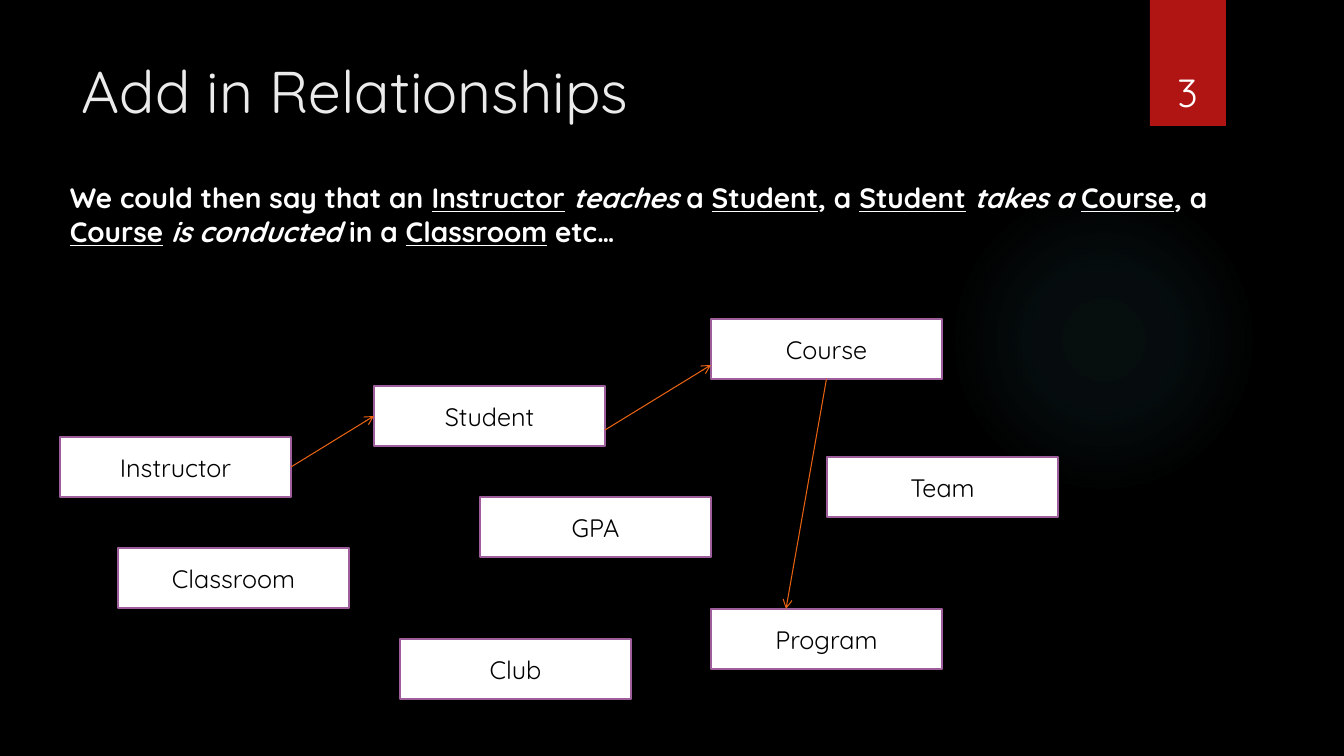
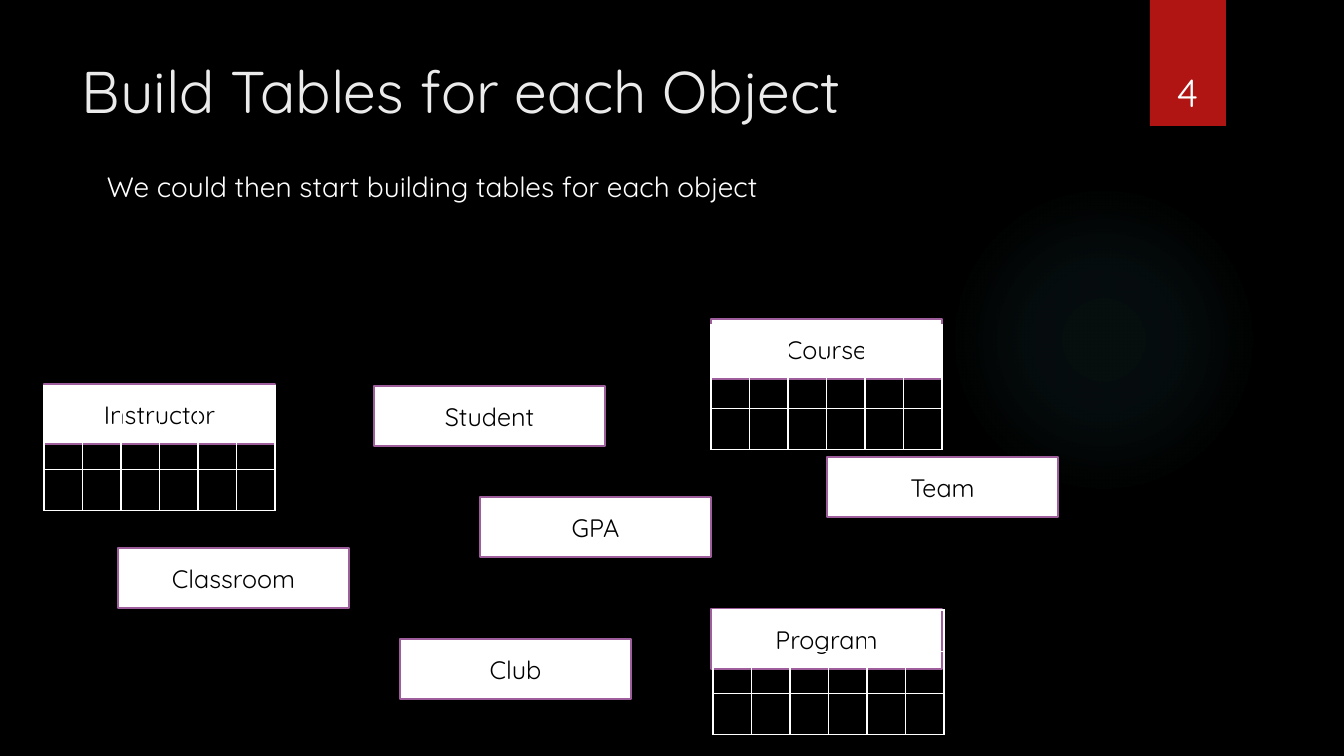
import pptx
import pptx.util
import pptx.dml.color
import pptx.enum.shapes
import pptx.enum.text
import pptx.oxml
import pptx.oxml.ns

PX = 914400 / 100.8
FONT = "Quicksand"
BLACK, WHITE = "000000", "FFFFFF"
TITLE_GRAY, RIBBON_RED, GLOW_TEAL = "EBEBEB", "B01513", "50B9C1"
BORDER_PURPLE, ARROW_ORANGE = "9E5E9B", "EA6312"
GLOW_STOPS = [(0, 7), (36, 6), (69, 0)]
ENTITY_WIDTH, ENTITY_HEIGHT = 231, 60
TABLE_ROWS, TABLE_COLUMNS, TABLE_HEIGHT = 3, 6, 125
ENTITIES = {
    "Instructor": (60, 437),
    "Student": (374, 386),
    "Course": (711, 319),
    "Classroom": (118, 548),
    "Club": (400, 639),
    "Program": (711, 609),
    "Team": (827, 457),
    "GPA": (480, 497),
}
TABLE_CORNERS = [(44, 386), (711, 325), (713, 610)]
RELATIONSHIP_TEXT = [
    ("We could then say that an ", ""), ("Instructor", "u"), (" ", ""), ("teaches", "i"),
    (" a ", ""), ("Student", "u"), (", a ", ""), ("Student", "u"), (" ", ""),
    ("takes a ", "i"), ("Course", "u"), (", a ", ""), ("Course", "u"), (" ", ""),
    ("is conducted ", "i"), ("in a ", ""), ("Classroom", "u"), (" etc…", ""),
]
SHAPE = pptx.enum.shapes.MSO_SHAPE
ANCHOR = pptx.enum.text.MSO_ANCHOR
ALIGN = pptx.enum.text.PP_ALIGN
qn = pptx.oxml.ns.qn


def px(*lengths):
    """Turn pixel lengths into a list of EMU lengths."""
    return [pptx.util.Emu(round(length * PX)) for length in lengths]


def rgb(hex_color):
    """Turn a hex string into a colour."""
    return pptx.dml.color.RGBColor.from_string(hex_color)


def drawing_xml(content):
    """Build one DrawingML element from its text."""
    namespace = pptx.oxml.ns.nsdecls("a")
    return pptx.oxml.parse_xml(f"<a:wrapper {namespace}>{content}</a:wrapper>")[0]


def write_text(frame, runs, size, color, bold=False, align=ALIGN.LEFT, anchor=ANCHOR.TOP):
    """Write a string or (text, style) runs, where u underlines and i slants."""
    frame.word_wrap = True
    frame.vertical_anchor = anchor
    paragraph = frame.paragraphs[0]
    paragraph.alignment = align
    for text, style in [(runs, "")] if isinstance(runs, str) else runs:
        run = paragraph.add_run()
        run.text = text
        run.font.name = FONT
        run.font.size = pptx.util.Pt(size)
        run.font.color.rgb = rgb(color)
        run.font.bold = bold
        run.font.italic = "i" in style
        run.font.underline = "u" in style


def add_text(slide, box, runs, **text_format):
    """Place a text box and return its frame."""
    frame = slide.shapes.add_textbox(*px(*box)).text_frame
    write_text(frame, runs, **text_format)
    return frame


def add_panel(slide, kind, box, fill=None, border=None):
    """Place a flat preset shape with an optional fill and border."""
    panel = slide.shapes.add_shape(kind, *px(*box))
    panel.shadow.inherit = False
    if fill:
        panel.fill.solid()
        panel.fill.fore_color.rgb = rgb(fill)
    else:
        panel.fill.background()
    if border:
        panel.line.color.rgb = rgb(border)
        panel.line.width = pptx.util.Pt(1.5)
    else:
        panel.line.fill.background()
    return panel


def add_glow(slide, box):
    """Place the faint radial glow."""
    properties = add_panel(slide, SHAPE.OVAL, box).element.spPr
    stops = "".join(
        f'<a:gs pos="{position * 1000}"><a:srgbClr val="{GLOW_TEAL}">'
        f'<a:alpha val="{alpha * 1000}"/></a:srgbClr></a:gs>'
        for position, alpha in GLOW_STOPS
    )
    gradient = drawing_xml(
        f'<a:gradFill><a:gsLst>{stops}</a:gsLst><a:path path="circle">'
        '<a:fillToRect l="50000" t="50000" r="50000" b="50000"/></a:path></a:gradFill>'
    )
    properties.replace(properties.find(qn("a:noFill")), gradient)


def add_base_slide(deck, title, number):
    """Add a slide with the shared background, ribbon, title and number."""
    slide = deck.slides.add_slide(deck.slide_layouts[6])
    slide.background.fill.solid()
    slide.background.fill.fore_color.rgb = rgb(BLACK)
    add_glow(slide, (949, 185, 310, 310))
    add_panel(slide, SHAPE.RECTANGLE, (1150, 0, 76, 126), fill=RIBBON_RED)
    add_text(slide, (72, 50, 1037, 154), title, size=42, color=TITLE_GRAY)
    number_frame = add_text(slide, (1141, 32, 93, 85), str(number), size=28, color=WHITE,
                            align=ALIGN.CENTER, anchor=ANCHOR.BOTTOM)
    number_frame.margin_bottom = px(2)[0]
    return slide


def add_entities(slide, corners):
    """Place one labelled box per entity and return them by name."""
    boxes = {}
    for name, (left, top) in corners.items():
        boxes[name] = add_panel(slide, SHAPE.RECTANGLE, (left, top, ENTITY_WIDTH, ENTITY_HEIGHT),
                                fill=WHITE, border=BORDER_PURPLE)
        write_text(boxes[name].text_frame, name, size=18, color=BLACK,
                   align=ALIGN.CENTER, anchor=ANCHOR.MIDDLE)
    return boxes


def add_arrow(slide, start, end):
    """Draw a thin arrow between two points."""
    arrow = slide.shapes.add_connector(
        pptx.enum.shapes.MSO_CONNECTOR.STRAIGHT, *px(*start, *end))
    arrow.line.color.rgb = rgb(ARROW_ORANGE)
    arrow.line.width = pptx.util.Pt(0.75)
    properties = arrow.element.spPr
    properties.find(qn("a:ln")).append(drawing_xml('<a:tailEnd type="arrow"/>'))
    properties.append(drawing_xml("<a:effectLst/>"))
    return arrow


def add_empty_table(slide, left, top):
    """Place an unfilled grid with white cell borders."""
    frame = slide.shapes.add_table(
        TABLE_ROWS, TABLE_COLUMNS, *px(left, top, ENTITY_WIDTH, TABLE_HEIGHT))
    table = frame.table
    table.first_row = table.horz_banding = False
    for cell in table.iter_cells():
        cell.margin_top = cell.margin_bottom = 0
        properties = cell._tc.get_or_add_tcPr()
        for side in "LRTB":
            properties.append(drawing_xml(
                f'<a:ln{side} w="12700"><a:solidFill><a:srgbClr val="{WHITE}"/>'
                f'</a:solidFill></a:ln{side}>'))
        cell.fill.background()


def build_relationships(deck):
    """Build the slide that links the entities."""
    slide = add_base_slide(deck, "Add in Relationships", 3)
    add_text(slide, (60, 176, 1168, 97), RELATIONSHIP_TEXT, size=20, color=WHITE, bold=True)
    boxes = add_entities(slide, ENTITIES)
    teaches = add_arrow(slide, (291, 467), (374, 416))
    teaches.begin_connect(boxes["Instructor"], 3)
    teaches.end_connect(boxes["Student"], 1)
    add_arrow(slide, (605, 430), (711, 365))
    belongs = add_arrow(slide, (827, 379), (786, 609))
    belongs.begin_connect(boxes["Course"], 2)


def build_tables(deck):
    """Build the slide that lays tables over some entities."""
    slide = add_base_slide(deck, "Build Tables for each Object", 4)
    add_text(slide, (97, 165, 962, 112), "We could then start building tables for each object",
             size=20, color=WHITE)
    add_entities(slide, {**ENTITIES, "Instructor": (44, 384)})
    for left, top in TABLE_CORNERS:
        add_empty_table(slide, left, top)


def main():
    """Build and save the deck."""
    deck = pptx.Presentation()
    deck.slide_width, deck.slide_height = px(1344, 756)
    build_relationships(deck)
    build_tables(deck)
    deck.save("out.pptx")


if __name__ == "__main__":
    main()
